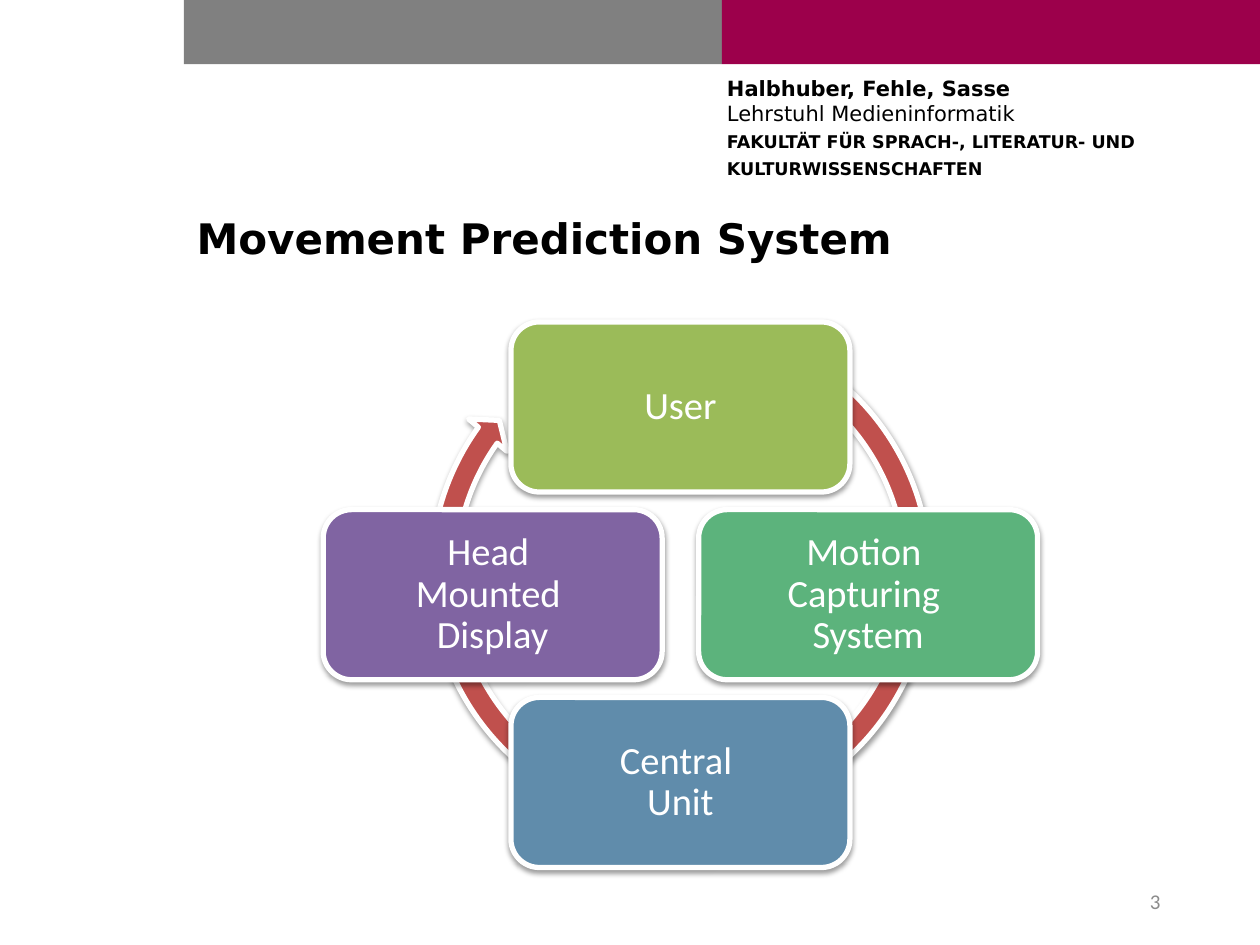
import pptx
import pptx.util
import pptx.dml.color
import pptx.enum.shapes
import pptx.enum.text
import pptx.oxml
from dataclasses import dataclass

Inches, Pt = pptx.util.Inches, pptx.util.Pt
Shape = pptx.enum.shapes.MSO_SHAPE
Align = pptx.enum.text.PP_ALIGN
Anchor = pptx.enum.text.MSO_ANCHOR

# Content
TITLE = "Movement Prediction System"
NUMBER = "3"
HEADER = [
    [("Halbhuber, Fehle, Sasse\v", 12, True), ("Lehrstuhl Medieninformatik", 12, False)],
    [("FAKULTÄT FÜR SPRACH-, LITERATUR- UND", 10, True)],
    [("KULTURWISSENSCHAFTEN", 10, True)],
]
# Stations of the cycle: label, fill, direction from the centre
CYCLE = [
    ("User", "9BBB59", (0, -1)),
    ("Motion \vCapturing \vSystem", "5CB37C", (1, 0)),
    ("Central \vUnit", "608CAB", (0, 1)),
    ("Head \vMounted \vDisplay", "8064A2", (-1, 0)),
]


@dataclass
class Theme:
    head: str = "DejaVu Sans"
    body: str = "Calibri"
    black: str = "000000"
    white: str = "FFFFFF"
    gray: str = "808080"
    wine: str = "9C004B"
    arrow: str = "C0504D"
    muted: str = "8C8C8C"
    title: int = 24
    label: int = 22
    small: int = 12


theme = Theme()
SHADOW = (
    '<a:effectLst xmlns:a="http://schemas.openxmlformats.org/drawingml/2006/main">'
    '<a:outerShdw blurRad="39400" dist="20300" dir="5400000" rotWithShape="0">'
    '<a:srgbClr val="000000"><a:alpha val="38000"/></a:srgbClr>'
    '</a:outerShdw></a:effectLst>'
)


def color(code):
    return pptx.dml.color.RGBColor.from_string(code)


def write(frame, text, font=theme.body, size=theme.label, ink=theme.black,
          bold=False, align=Align.LEFT, anchor=Anchor.TOP, inset=(0.1, 0.05),
          space=None, line=None):
    """Fill a frame; text is a string or a list of lists of (text, size, bold)."""
    rows = [[(text, size, bold)]] if isinstance(text, str) else text
    frame.word_wrap = True
    frame.auto_size = pptx.enum.text.MSO_AUTO_SIZE.NONE
    frame.vertical_anchor = anchor
    frame.margin_left = frame.margin_right = Inches(inset[0])
    frame.margin_top = frame.margin_bottom = Inches(inset[1])
    for i, row in enumerate(rows):
        para = frame.paragraphs[0] if i == 0 else frame.add_paragraph()
        para.alignment = align
        para.line_spacing = line
        para.space_after = space
        for part, points, heavy in row:
            for j, piece in enumerate(part.split("\v")):
                if j:
                    para.add_line_break()
                if piece:
                    run = para.add_run()
                    run.text = piece
                    run.font.name, run.font.size = font, Pt(points)
                    run.font.bold = heavy
                    run.font.color.rgb = color(ink)


def draw(kind, box, fill, raised=False):
    shape = slide.shapes.add_shape(kind, *map(Inches, box))
    shape.fill.solid()
    shape.fill.fore_color.rgb = color(fill)
    shape.shadow.inherit = False
    if raised:
        shape.line.color.rgb = color(theme.white)
        shape.line.width = Pt(3)
        props = shape.fill._xPr
        props.replace(props.find(pptx.oxml.ns.qn("a:effectLst")),
                      pptx.oxml.parse_xml(SHADOW))
    else:
        shape.line.fill.background()
    return shape


deck = pptx.Presentation()
deck.slide_width, deck.slide_height = Inches(10), Inches(7.5)
slide = deck.slides.add_slide(deck.slide_layouts[5])

# Two header bars of equal width
BAR = 4.27
for i, fill in enumerate((theme.gray, theme.wine)):
    draw(Shape.RECTANGLE, (1.46 + i * BAR, 0, BAR, 0.51), fill)

# Department
head = slide.shapes.add_textbox(*map(Inches, (5.77, 0.6, 4.04, 0.94)))
write(head.text_frame, HEADER, font=theme.head, inset=(0, 0), space=Pt(3))

# Title
title = slide.shapes.title
title.left, title.top, title.width, title.height = map(Inches, (1.46, 1.64, 7.86, 0.76))
write(title.text_frame, TITLE, font=theme.head, size=theme.title, bold=True)

# Cycle: ring arrow behind four stations
MID_X, MID_Y, STEP = 5.4, 4.72, 1.49
WIDE, HIGH, RING = 2.69, 1.35, 4.16
ring = draw(Shape.CIRCULAR_ARROW, (MID_X - RING / 2, 2.47, RING, RING),
            theme.arrow, raised=True)
for i, value in enumerate((0.047, 2.729, 129.383, 179.584, 0.048)):
    ring.adjustments[i] = value
for label, fill, (dx, dy) in CYCLE:
    box = (MID_X + dx * STEP - WIDE / 2, MID_Y + dy * STEP - HIGH / 2, WIDE, HIGH)
    card = draw(Shape.ROUNDED_RECTANGLE, box, fill, raised=True)
    write(card.text_frame, label, ink=theme.white, align=Align.CENTER,
          anchor=Anchor.MIDDLE, inset=(0.09, 0.09), line=0.9)

# Slide number
page = slide.shapes.add_textbox(*map(Inches, (7.06, 6.95, 2.25, 0.4)))
write(page.text_frame, NUMBER, size=theme.small, ink=theme.muted,
      align=Align.RIGHT, anchor=Anchor.MIDDLE)

deck.save("out.pptx")
